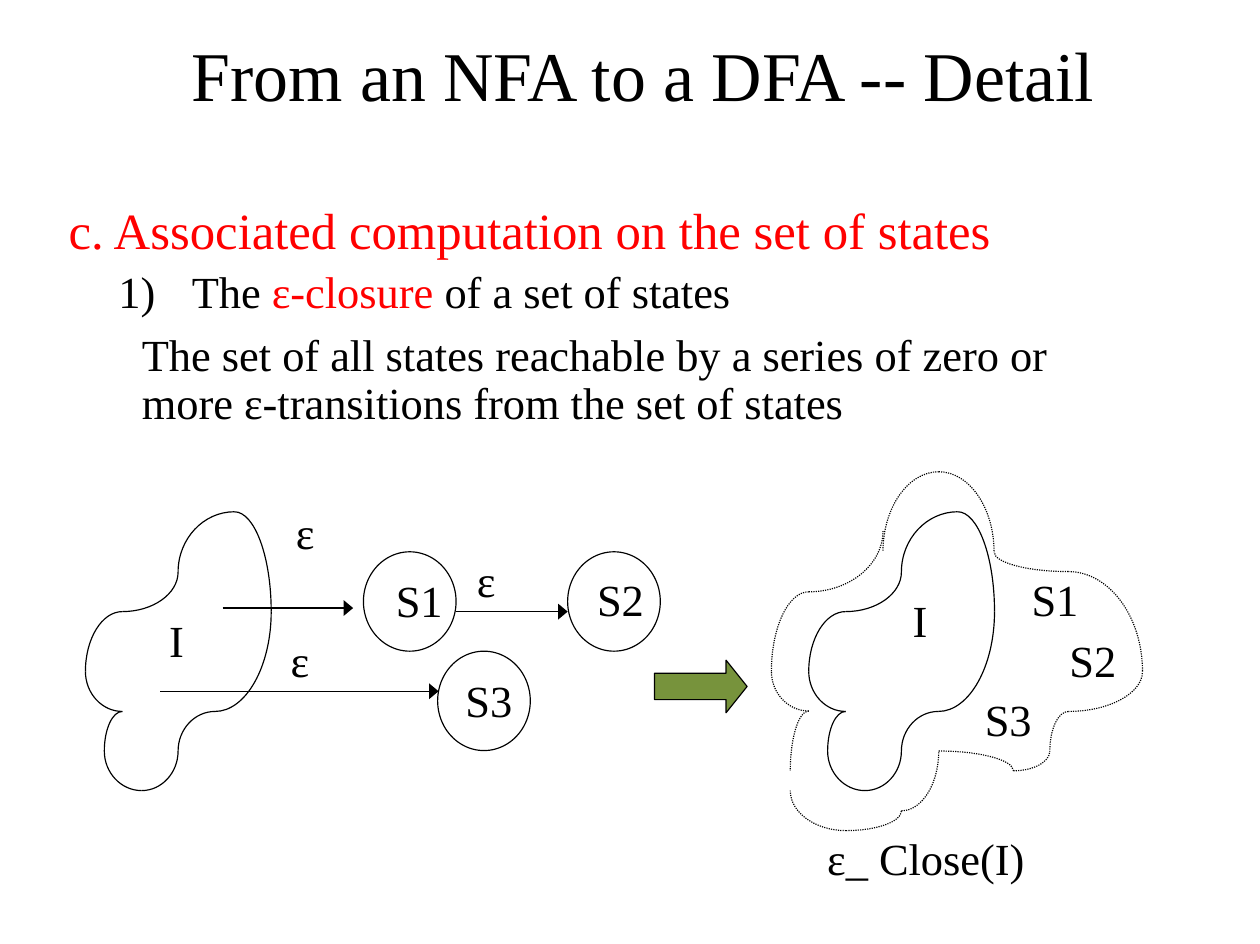
from dataclasses import dataclass
from itertools import pairwise

from lxml import etree
from pptx import Presentation
from pptx.dml.color import RGBColor
from pptx.enum.dml import MSO_LINE
from pptx.enum.shapes import MSO_CONNECTOR, MSO_SHAPE
from pptx.enum.text import MSO_ANCHOR, MSO_AUTO_SIZE, PP_ALIGN
from pptx.oxml.ns import qn
from pptx.util import Cm, Pt

STRAIGHT = MSO_CONNECTOR.STRAIGHT
ELLIPSE, RIGHT_ARROW = MSO_SHAPE.OVAL, MSO_SHAPE.RIGHT_ARROW
DOTTED = MSO_LINE.ROUND_DOT
TOP, MIDDLE = MSO_ANCHOR.TOP, MSO_ANCHOR.MIDDLE
LEFT, CENTER = PP_ALIGN.LEFT, PP_ALIGN.CENTER
NO_FIT = MSO_AUTO_SIZE.NONE

BLACK, RED, GREEN = "000000", "FF0000", "77933C"
FONT = "Times New Roman"
BEZIER = 0.55  # control distance that turns a cubic into a quarter ellipse
REGION_SHIFT = 16.08

Point = tuple[float, float]


@dataclass
class Label:
    text: str
    left: float
    top: float
    width: float
    height: float = 1.33
    align: PP_ALIGN = CENTER


@dataclass
class Arrow:
    start: Point
    end: Point


@dataclass
class Entry:
    spans: list[tuple[str, str]]
    size: int
    margin: float
    indent: float
    before: float
    level: int = 0
    bullet: str = "buNone"


ENTRIES = [
    Entry([("c. Associated computation on the set of states", RED)], 32, 1.63, -1.63, 0),
    Entry([("The ", BLACK), ("ε-closure ", RED), ("of a set of states", BLACK)],
          28, 2.74, -1.63, 5.6, 1, "buAutoNum"),
    Entry([("The set of all states reachable by a series of zero or "
            "more ε-transitions from the set of states", BLACK)], 28, 1.63, 0, 10),
]

# Outline points alternate: vertical tangent, horizontal tangent, ...
REGION = [(3.96, 12.72), (5.21, 11.38), (6.03, 13.6), (4.78, 15.82), (3.96, 16.7),
          (3.15, 17.58), (2.32, 16.7), (2.72, 15.82), (1.9, 14.93), (2.72, 13.6),
          (3.96, 12.72)]
CLOSURE = [
    [(17.57, 17.14), (17.98, 15.81), (17.15, 14.93), (17.98, 13.16), (19.63, 11.81)],
    [(19.63, 12.27), (20.87, 10.49), (22.1, 12.27), (23.75, 12.71), (25.4, 14.93),
     (23.75, 15.82), (23.34, 16.7), (22.53, 17.14)],
    [(22.53, 17.14), (20.87, 16.7)],
    [(20.87, 16.7), (20.04, 18.03)],
    [(20.04, 18.03), (18.81, 18.47), (17.57, 17.58)],
]
STATES = [(8.08, 12.27), (12.62, 12.27), (9.73, 14.48)]
ARROWS = [
    Arrow((4.95, 13.52), (7.85, 13.52)),
    Arrow((10.13, 13.6), (12.62, 13.6)),
    Arrow((3.56, 15.37), (9.75, 15.37)),
]
LABELS = [
    Label("ε", 10.57, 12.27, 1.24, 1.78, LEFT),
    Label("ε", 6.55, 11.2, 1.24, 1.78, LEFT),
    Label("ε", 6.43, 14.05, 1.24, 1.78, LEFT),
    Label("I", 19.63, 13.16, 1.65, 1.78),
    Label("I", 3.1, 13.61, 1.65, 1.78),
    Label("S2", 12.65, 12.7, 2.29),
    Label("S2", 23.34, 14.05, 1.91),
    Label("S1", 22.53, 12.7, 1.85),
    Label("S1", 8.23, 12.72, 2.18),
    Label("S3", 9.83, 14.94, 2.08),
    Label("S3", 21.54, 15.37, 1.75),
    Label("ε_ Close(I)", 18.36, 18.44, 7.34, 1.78, LEFT),
]


def color(value: str) -> RGBColor:
    return RGBColor.from_string(value)


def apply(target, values: dict) -> None:
    for name, value in values.items():
        setattr(target, name, value)


def add_span(para, text: str, size: int, ink: str = BLACK) -> None:
    span = para.add_run()
    span.text = text
    apply(span.font, {"name": FONT, "size": Pt(size)})
    span.font.color.rgb = color(ink)


def place(box, left: float, top: float, width: float, height: float) -> None:
    apply(box, {"left": Cm(left), "top": Cm(top), "width": Cm(width), "height": Cm(height)})


def set_frame(frame, anchor: MSO_ANCHOR, inset: float, bottom: float) -> None:
    apply(frame, {"word_wrap": True, "auto_size": NO_FIT, "vertical_anchor": anchor,
                  "margin_left": Cm(inset), "margin_right": Cm(inset),
                  "margin_top": Cm(inset), "margin_bottom": Cm(bottom)})


def style_outline(shape, fill: str = "") -> None:
    shape.shadow.inherit = False
    shape.line.color.rgb = color(BLACK)
    shape.line.width = Pt(0.75)
    if fill:
        shape.fill.solid()
        shape.fill.fore_color.rgb = color(fill)
    else:
        shape.fill.background()


def add_quarter(page, flat: Point, steep: Point, dotted: bool) -> None:
    """Draw a quarter ellipse, horizontal at flat and vertical at steep."""
    start, end = [(Cm(x), Cm(y)) for x, y in (flat, steep)]
    builder = page.shapes.build_freeform(*start)
    builder.add_line_segments([end], close=False)
    curve = builder.convert_to_shape()
    style_outline(curve)
    if dotted:
        curve.line.dash_style = DOTTED
    segment = next(curve._element.iter(qn("a:lnTo")))
    segment.tag = qn("a:cubicBezTo")
    last = segment[0]
    x, y = int(last.get("x")), int(last.get("y"))
    run, rise = end[0] - start[0], end[1] - start[1]
    controls = [(x - run * (1 - BEZIER), y - rise), (x, y - rise * BEZIER)]
    for control_x, control_y in controls:
        point = etree.Element(qn("a:pt"), x=str(round(control_x)), y=str(round(control_y)))
        last.addprevious(point)


def add_outline(page, points: list[Point], dotted: bool = False) -> None:
    for index, (first, second) in enumerate(pairwise(points)):
        flat, steep = (first, second) if index % 2 else (second, first)
        add_quarter(page, flat, steep, dotted)


def add_arrow(page, arrow: Arrow) -> None:
    line = page.shapes.add_connector(STRAIGHT, *map(Cm, arrow.start + arrow.end))
    line.line.color.rgb = color(BLACK)
    line.line.width = Pt(0.75)
    etree.SubElement(line.line._get_or_add_ln(), qn("a:tailEnd"), type="triangle", w="lg")
    etree.SubElement(line._element.spPr, qn("a:effectLst"))


def add_label(page, label: Label) -> None:
    box = page.shapes.add_textbox(*map(Cm, (label.left, label.top, label.width, label.height)))
    set_frame(box.text_frame, TOP, 0.03, 0.03)
    para = box.text_frame.paragraphs[0]
    para.alignment = label.align
    add_span(para, label.text, 28)


def add_entry(para, entry: Entry) -> None:
    properties = para._p.get_or_add_pPr()
    properties.set("marL", str(Cm(entry.margin)))
    properties.set("indent", str(Cm(entry.indent)))
    bullet = etree.SubElement(properties, qn("a:" + entry.bullet))
    if entry.bullet == "buAutoNum":
        bullet.set("type", "arabicParenR")
    apply(para, {"level": entry.level, "line_spacing": 0.9, "space_before": Pt(entry.before)})
    apply(para.font, {"name": FONT, "size": Pt(entry.size)})
    for text, ink in entry.spans:
        add_span(para, text, entry.size, ink)


def main() -> None:
    deck = Presentation()
    apply(deck, {"slide_width": Pt(794), "slide_height": Pt(595)})
    page = deck.slides.add_slide(deck.slide_layouts[1])

    # Title
    title = page.shapes.title
    place(title, 4.26, 0.76, 20.65, 1.96)
    set_frame(title.text_frame, MIDDLE, 0, 0.13)
    heading = title.text_frame.paragraphs[0]
    apply(heading, {"alignment": LEFT, "line_spacing": Pt(51)})
    add_span(heading, "From an NFA to a DFA -- Detail", 44)

    # Explanation
    body = page.placeholders[1]
    place(body, 1.27, 4.45, 22.86, 12.57)
    body.text_frame.auto_size = NO_FIT
    for index, entry in enumerate(ENTRIES):
        para = body.text_frame.add_paragraph() if index else body.text_frame.paragraphs[0]
        add_entry(para, entry)

    # State sets and their closure
    for points in CLOSURE:
        add_outline(page, points, dotted=True)
    for shift in (0, REGION_SHIFT):
        add_outline(page, [(x + shift, y) for x, y in REGION])

    # States, transitions and the step to the result
    for left, top in STATES:
        style_outline(page.shapes.add_shape(ELLIPSE, *map(Cm, (left, top, 2.06, 2.21))))
    for arrow in ARROWS:
        add_arrow(page, arrow)
    step = page.shapes.add_shape(RIGHT_ARROW, *map(Cm, (14.55, 14.68, 2.06, 1.17)))
    step.adjustments[1] = 0.4
    style_outline(step, GREEN)

    # Labels
    for label in LABELS:
        add_label(page, label)

    deck.save("out.pptx")


if __name__ == "__main__":
    main()
